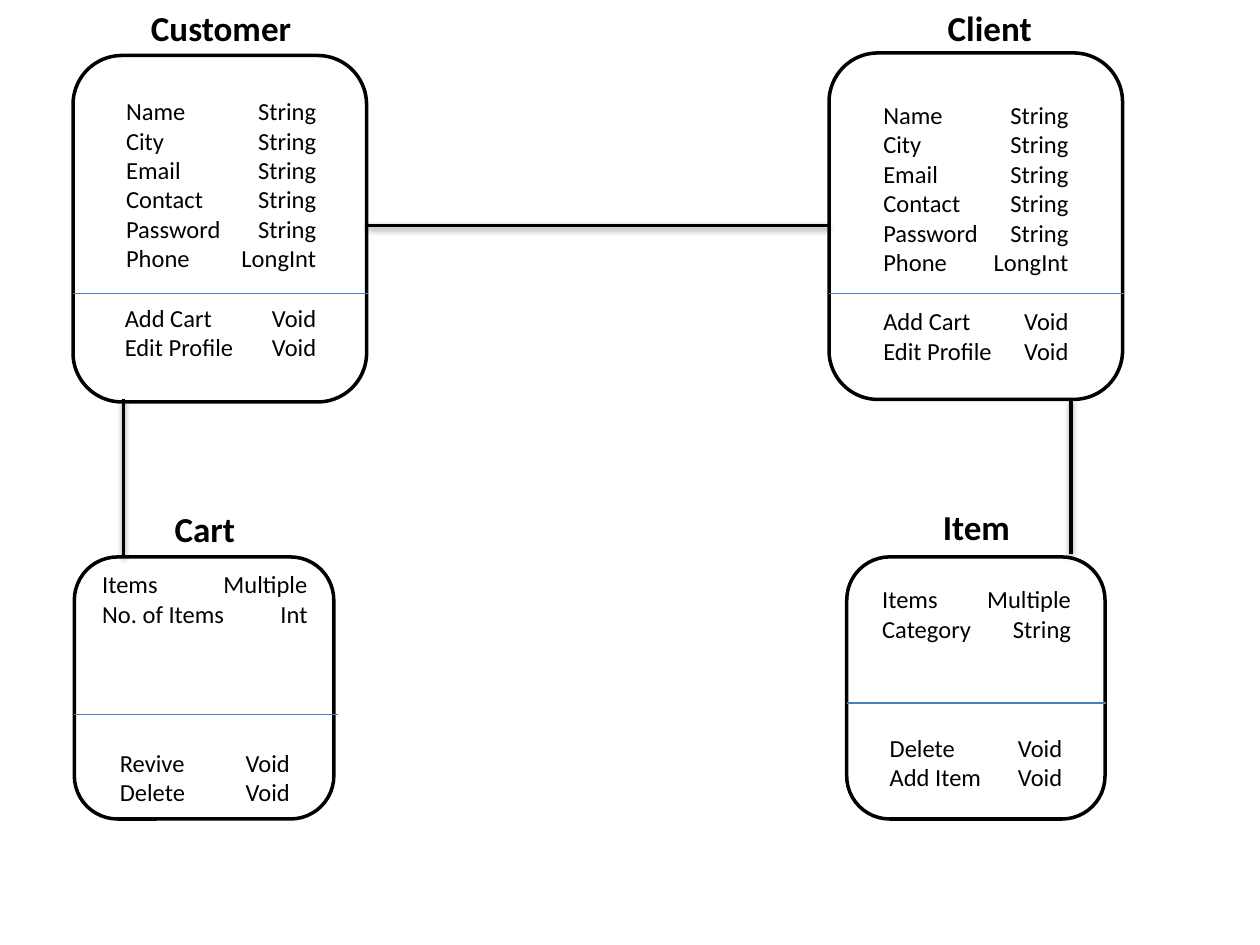
"""Build a class diagram of four linked boxes."""
from lxml import etree
from pptx import Presentation, util as u
from pptx.dml.color import RGBColor
from pptx.enum import shapes, text
from pptx.oxml import ns

BLACK = RGBColor(0, 0, 0)
WHITE = RGBColor(255, 255, 255)
BLUE = RGBColor(0x4B, 0x7E, 0xBC)
EDGE = RGBColor(0x46, 0x7A, 0xB8)
ROW = 17.1

USER = [("Name", "String"), ("City", "String"), ("Email", "String"),
        ("Contact", "String"), ("Password", "String"), ("Phone", "LongInt")]
ACTS = [("Add Cart", "Void"), ("Edit Profile", "Void")]


def node(parent, tag, **attrs):
    """Append a drawing element to its parent."""
    item = etree.SubElement(parent, ns.qn("a:" + tag))
    for key, value in attrs.items():
        item.set(key, str(value))
    return item


def style(para, size, bold=False):
    """Set the font of a paragraph."""
    font = para.font
    font.name, font.size, font.bold = "Calibri", u.Pt(size), bold
    font.color.rgb = BLACK


def title(slide, name, left, top, width):
    """Add a bold outlined heading."""
    box = slide.shapes.add_textbox(*map(u.Inches, (left, top, width, 0.44)))
    frame = box.text_frame
    frame.word_wrap = False
    frame.auto_size = text.MSO_AUTO_SIZE.SHAPE_TO_FIT_TEXT
    para = frame.paragraphs[0]
    para.alignment = text.PP_ALIGN.CENTER
    run = para.add_run()
    run.text = name
    line = node(run._r.get_or_add_rPr(), "ln", w=u.Pt(0.83))
    node(node(line, "solidFill"), "srgbClr", val=EDGE)
    style(para, 20, True)


def entity(slide, area, parts, gap, drop=0):
    """Add a rounded box with two sections of name and type rows."""
    box = slide.shapes.add_shape(shapes.MSO_SHAPE.ROUNDED_RECTANGLE,
                                 *map(u.Inches, area))
    box.shadow.inherit = False
    box.fill.solid()
    box.fill.fore_color.rgb = WHITE
    box.line.color.rgb = BLACK
    box.line.width = u.Pt(2)
    frame = box.text_frame
    frame.word_wrap = True
    frame.vertical_anchor = text.MSO_ANCHOR.MIDDLE
    frame.margin_left = frame.margin_right = 0
    frame.margin_top = u.Inches(0.05 + drop)
    inset = min(area[2:]) / 6 * 0.29
    para = frame.paragraphs[0]
    for part, (start, end, rows) in enumerate(parts):
        for index, row in enumerate(rows):
            if part or index:
                para = frame.add_paragraph()
            para.text = "\t" + "\t".join(row)
            para.alignment = text.PP_ALIGN.LEFT
            tabs = node(para._p.get_or_add_pPr(), "tabLst")
            for stop, side in ((start, "l"), (end, "r")):
                node(tabs, "tab", pos=u.Inches(stop - inset), algn=side)
            if part and not index:
                para.space_before = u.Pt(gap * ROW)
            style(para, 14)


def rule(slide, ends, color, width, shade=False):
    """Add a straight line, with a soft shadow if asked."""
    line = slide.shapes.add_connector(shapes.MSO_CONNECTOR.STRAIGHT,
                                      *map(u.Inches, ends))
    line.line.color.rgb = color
    line.line.width = u.Pt(width)
    effect = node(line._element.spPr, "effectLst")
    if shade:
        cast = node(effect, "outerShdw", blurRad=40000, dist=20000,
                    dir=5400000, rotWithShape=0)
        node(node(cast, "srgbClr", val=BLACK), "alpha", val=38000)


def main():
    """Build and save the slide."""
    deck = Presentation()
    deck.slide_width, deck.slide_height = u.Inches(10), u.Inches(7.5)
    slide = deck.slides.add_slide(deck.slide_layouts[6])

    entity(slide, (0.58, 0.44, 2.33, 2.75),
           [(0.42, 1.93, USER), (0.41, 1.93, ACTS)], 1)
    entity(slide, (6.58, 0.42, 2.33, 2.75),
           [(0.43, 1.9, USER), (0.43, 1.9, ACTS)], 1, 0.1)
    entity(slide, (0.59, 4.42, 2.06, 2.08),
           [(0.22, 1.85, [("Items", "Multiple"), ("No. of Items", "Int")]),
            (0.36, 1.71, [("Revive", "Void"), ("Delete", "Void")])], 4)
    entity(slide, (6.72, 4.42, 2.05, 2.08),
           [(0.28, 1.78, [("Items", "Multiple"), ("Category", "String")]),
            (0.34, 1.71, [("Delete", "Void"), ("Add Item", "Void")])], 3)

    for name, left, top, width in (("Customer", 1.09, 0, 1.33),
                                   ("Client", 7.42, 0, 0.87),
                                   ("Cart", 1.28, 3.98, 0.69),
                                   ("Item", 7.38, 3.96, 0.74)):
        title(slide, name, left, top, width)

    for ends in ((6.58, 1.79, 2.92, 1.79), (0.98, 3.17, 0.98, 4.42),
                 (8.5, 3.17, 8.5, 4.4)):
        rule(slide, ends, BLACK, 2, True)
    for left, right, top in ((6.58, 8.92, 2.33), (0.58, 2.92, 2.33),
                             (0.59, 2.68, 5.67), (6.72, 8.78, 5.58)):
        rule(slide, (left, top, right, top), BLUE, 0.75)

    deck.save("out.pptx")


if __name__ == "__main__":
    main()
